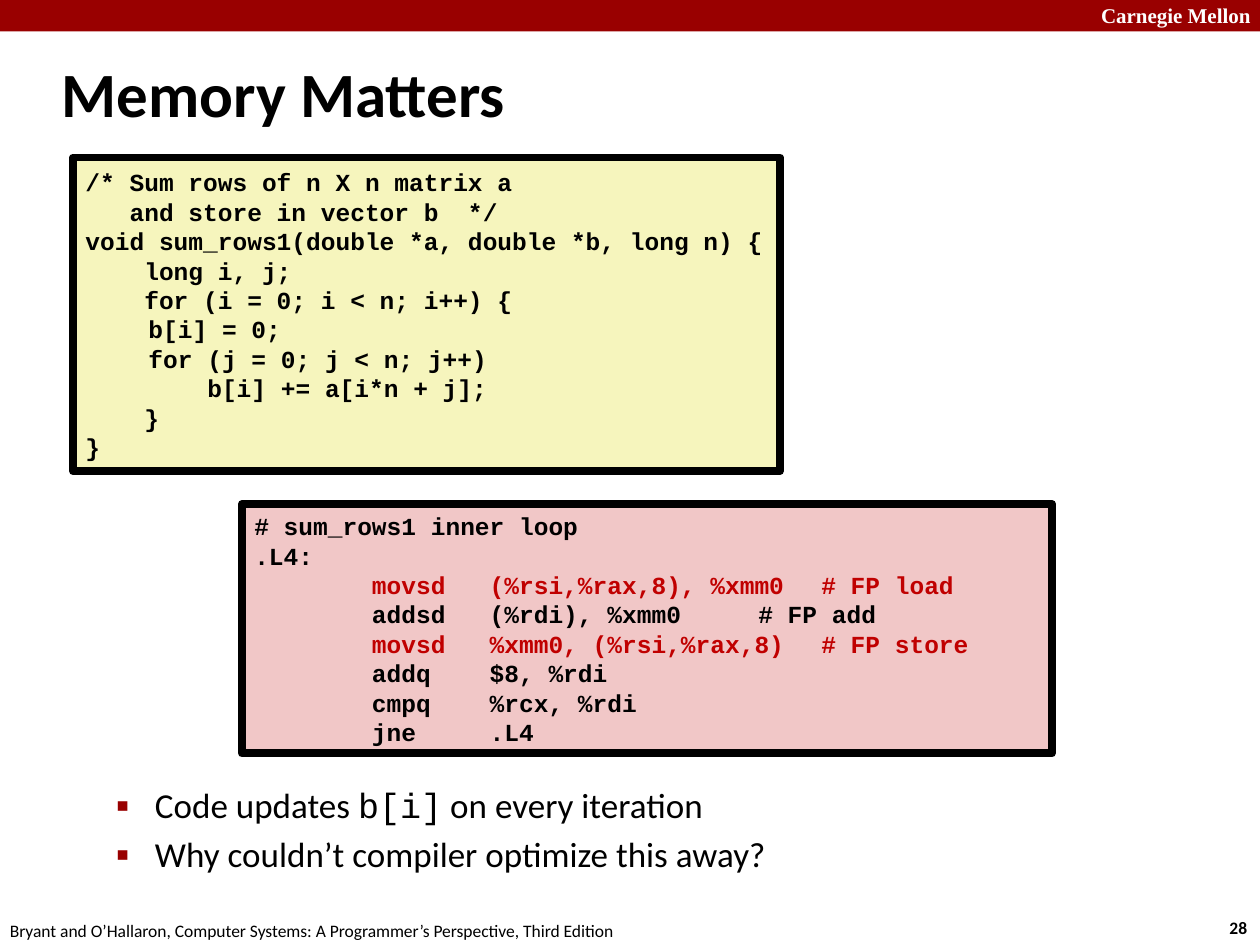
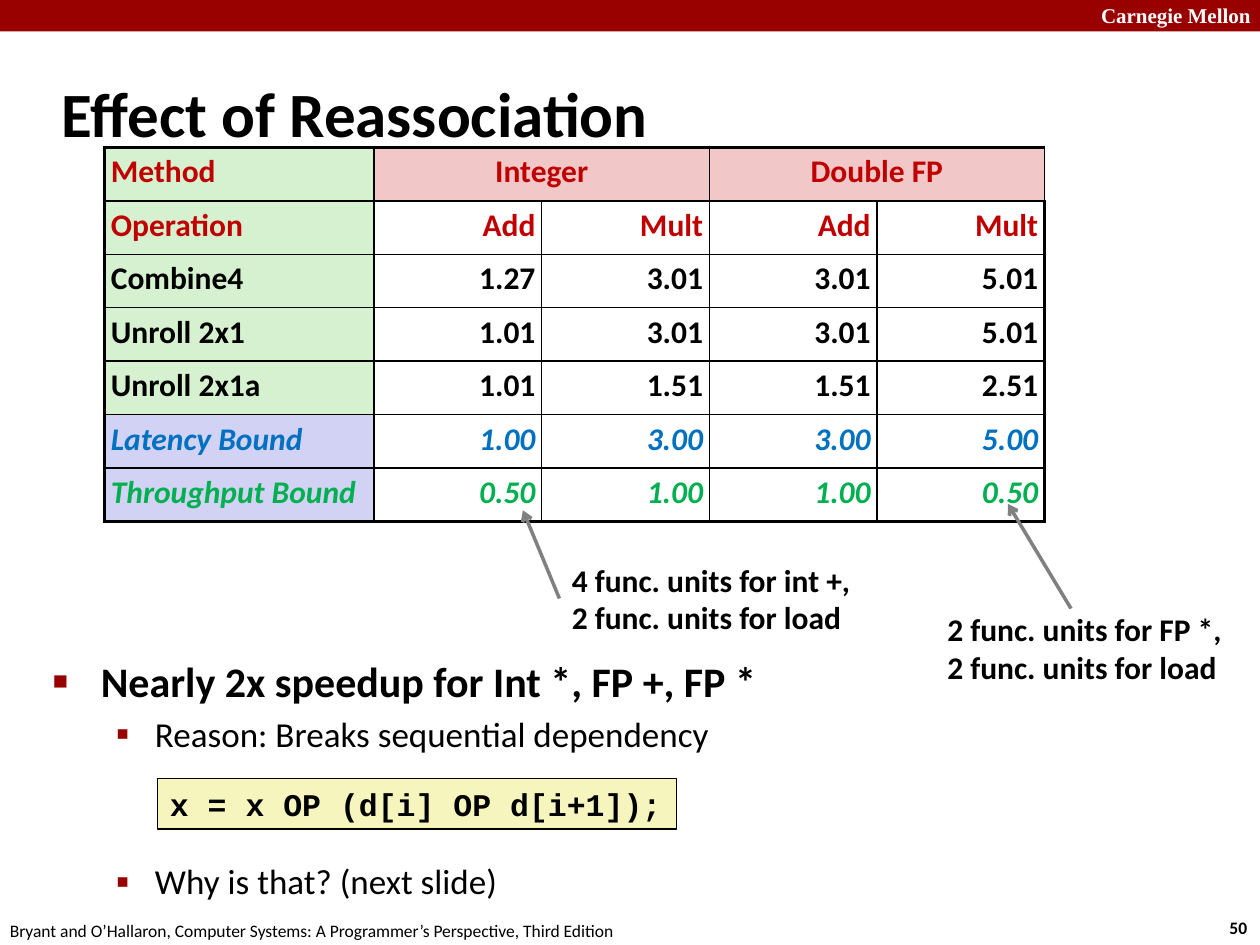
from lxml import etree
from pptx import Presentation
from pptx.dml.color import RGBColor
from pptx.enum.shapes import MSO_CONNECTOR, MSO_SHAPE
from pptx.enum.text import MSO_ANCHOR, MSO_AUTO_SIZE, PP_ALIGN
from pptx.oxml.ns import qn
from pptx.util import Inches, Pt

RECTANGLE = MSO_SHAPE.RECTANGLE
STRAIGHT = MSO_CONNECTOR.STRAIGHT
TOP, MIDDLE = MSO_ANCHOR.TOP, MSO_ANCHOR.MIDDLE
NO_FIT = MSO_AUTO_SIZE.NONE
LEFT, CENTER, RIGHT = PP_ALIGN.LEFT, PP_ALIGN.CENTER, PP_ALIGN.RIGHT

SANS, MONO, SERIF = "Calibri", "Courier New", "Times New Roman"
BLACK, WHITE, GRAY = "000000", "FFFFFF", "808080"
CRIMSON, RED, BLUE, GREEN = "990000", "C00000", "0070C0", "00B050"
CREAM, PINK, MINT, LAVENDER = "F6F5BD", "F1C7C7", "D5F1CF", "D2D2F4"
FOOTER = "Bryant and O’Hallaron, Computer Systems: A Programmer’s Perspective, Third Edition"

rgb = RGBColor.from_string


def add_run(paragraph, text, size, colour=BLACK, font=SANS, bold=True, italic=False):
    run = paragraph.add_run()
    run.text = text
    run.font.size = Pt(size)
    run.font.color.rgb = rgb(colour)
    run.font.name = font
    run.font.bold = bold
    run.font.italic = italic


def add_panel(slide, box, lines, size=18, font=SANS, bold=True, fill=None, border=0):
    area = [Inches(length) for length in box]
    if fill:
        panel = slide.shapes.add_shape(RECTANGLE, *area)
        panel.shadow.inherit = False
        panel.fill.solid()
        panel.fill.fore_color.rgb = rgb(fill)
        if border:
            panel.line.color.rgb = rgb(BLACK)
            panel.line.width = Pt(border)
        else:
            panel.line.fill.background()
    else:
        panel = slide.shapes.add_textbox(*area)
    frame = panel.text_frame
    frame.word_wrap = True
    frame.vertical_anchor = MIDDLE if fill else TOP
    for number, runs in enumerate(lines):
        paragraph = frame.add_paragraph() if number else frame.paragraphs[0]
        paragraph.alignment = LEFT
        for text, colour in runs:
            add_run(paragraph, text, size, colour, font, bold)


deck = Presentation()
deck.slide_width, deck.slide_height = Inches(10), Inches(7.5)

outlines = [
    ("Memory Matters", 0.32, "28", (6.17, 0.88), [
        (1, 0, [("Code updates ", SANS), ("b[i]", MONO), (" on every iteration", SANS)]),
        (1, 4, [("Why couldn’t compiler optimize this away?", SANS)]),
    ]),
    ("Effect of Reassociation", 0.48, "50", (5.15, 1.9), [
        (0, 0, [("Nearly 2x speedup for Int *, FP +, FP *", SANS)]),
        (1, 4, [("Reason: Breaks sequential dependency", SANS)]),
        (1, 60, [("Why is that? (next slide)", SANS)]),
    ]),
]
bullet_levels = [
    (0.38, -0.38, "■", 60, 24, True),
    (0.81, -0.31, "▪", 110, 20, False),
]

for heading, heading_top, page, (points_top, points_height), points in outlines:
    slide = deck.slides.add_slide(deck.slide_layouts[1])
    add_panel(slide, (0, 0, 10, 0.25), [], fill=CRIMSON)
    add_panel(slide, (8.64, -0.03, 1.43, 0.3), [[("Carnegie Mellon", WHITE)]], 12, SERIF)
    add_panel(slide, (9.66, 7.23, 0.37, 0.27), [[(page, BLACK)]], 10)
    add_panel(slide, (-0.02, 7.25, 5.08, 0.27), [[(FOOTER, BLACK)]], 10, bold=False)

    title = slide.shapes.title
    title.left, title.top = Inches(0.39), Inches(heading_top)
    title.width, title.height = Inches(8.3), Inches(0.83)
    title.text_frame.auto_size = NO_FIT
    title.text_frame.vertical_anchor = MIDDLE
    title.text_frame.paragraphs[0].alignment = LEFT
    add_run(title.text_frame.paragraphs[0], heading, 36)

    body = slide.placeholders[1]
    body.left, body.top = Inches(0.32), Inches(points_top)
    body.width, body.height = Inches(9.09), Inches(points_height)
    body.text_frame.auto_size = NO_FIT
    for number, (level, gap, runs) in enumerate(points):
        margin, indent, mark, percent, size, bold = bullet_levels[level]
        paragraph = body.text_frame.add_paragraph() if number else body.text_frame.paragraphs[0]
        properties = paragraph._p.get_or_add_pPr()
        properties.set("marL", str(Inches(margin)))
        properties.set("indent", str(Inches(indent)))
        bullet_colour = etree.SubElement(properties, qn("a:buClr"))
        etree.SubElement(bullet_colour, qn("a:srgbClr"), val=CRIMSON)
        etree.SubElement(properties, qn("a:buSzPct"), val=str(percent * 1000))
        etree.SubElement(properties, qn("a:buChar"), char=mark)
        paragraph.level = level
        paragraph.space_before = Pt(gap)
        for text, font in runs:
            add_run(paragraph, text, size, font=font, bold=bold)

memory, reassociation = deck.slides

assembly = [
    ("# sum_rows1 inner loop", BLACK),
    (".L4:", BLACK),
    ("        movsd   (%rsi,%rax,8), %xmm0\t# FP load", RED),
    ("        addsd   (%rdi), %xmm0\t\t# FP add", BLACK),
    ("        movsd   %xmm0, (%rsi,%rax,8)\t# FP store", RED),
    ("        addq    $8, %rdi", BLACK),
    ("        cmpq    %rcx, %rdi", BLACK),
    ("        jne     .L4", BLACK),
]
add_panel(memory, (1.92, 4, 6.43, 1.98), [[line] for line in assembly], 14, MONO,
          fill=PINK, border=4.5)

sum_rows = [
    "/* Sum rows of n X n matrix a",
    "   and store in vector b  */",
    "void sum_rows1(double *a, double *b, long n) {",
    "    long i, j;",
    "    for (i = 0; i < n; i++) {",
    "\tb[i] = 0;",
    "\tfor (j = 0; j < n; j++)",
    "\t    b[i] += a[i*n + j];",
    "    }",
    "}",
]
add_panel(memory, (0.58, 1.25, 5.61, 2.49), [[(line, BLACK)] for line in sum_rows], 14, MONO,
          fill=CREAM, border=4.5)

add_panel(reassociation, (1.25, 6.18, 4.12, 0.4), [[("x = x OP (d[i] OP d[i+1]);", BLACK)]],
          18, MONO, fill=CREAM, border=1)

timings = [
    (["Method", "Integer", "", "Double FP", ""], RED, MINT, False),
    (["Operation", "Add", "Mult", "Add", "Mult"], RED, MINT, False),
    (["Combine4", "1.27", "3.01", "3.01", "5.01"], BLACK, MINT, False),
    (["Unroll 2x1", "1.01", "3.01", "3.01", "5.01"], BLACK, MINT, False),
    (["Unroll 2x1a", "1.01", "1.51", "1.51", "2.51"], BLACK, MINT, False),
    (["Latency Bound", "1.00", "3.00", "3.00", "5.00"], BLUE, LAVENDER, True),
    (["Throughput Bound", "0.50", "1.00", "1.00", "0.50"], GREEN, LAVENDER, True),
]
last_row, last_column = len(timings) - 1, 4
table = reassociation.shapes.add_table(
    last_row + 1, last_column + 1, Inches(0.83), Inches(1.17), Inches(7.46), Inches(2.97)).table
table.first_row = table.horz_banding = False
for number, column in enumerate(table.columns):
    column.width = Inches(1.33 if number else 2.14)
for start in (1, 3):
    table.cell(0, start).merge(table.cell(0, start + 1))

for row, (values, colour, label_fill, italic) in enumerate(timings):
    for column, value in enumerate(values):
        cell = table.cell(row, column)
        cell.margin_left = cell.margin_right = Inches(0.05)
        cell.margin_top = cell.margin_bottom = Inches(0.05)
        borders = cell._tc.get_or_add_tcPr()
        outer_edges = {"a:lnL": column == 0, "a:lnR": column == last_column,
                       "a:lnT": row == 0, "a:lnB": row == last_row}
        for edge, outer in outer_edges.items():
            line = etree.SubElement(borders, qn(edge), w=str(Pt(2.25 if outer else 1)))
            ink = etree.SubElement(line, qn("a:solidFill"))
            etree.SubElement(ink, qn("a:srgbClr"), val=BLACK)
        cell.fill.solid()
        cell.fill.fore_color.rgb = rgb(label_fill if column == 0 else WHITE if row else PINK)
        if value:
            paragraph = cell.text_frame.paragraphs[0]
            paragraph.alignment = LEFT if column == 0 else RIGHT if row else CENTER
            paragraph.line_spacing = 0.95
            add_run(paragraph, value, 18, colour, italic=italic)

unit_notes = [
    ((8.5, 4.83, 8, 4), (7.42, 4.79, 2.4, 0.71), "2 func. units for FP *,"),
    ((4.44, 4.75, 4.15, 4.05), (4.44, 4.4, 2.43, 0.71), "4 func. units for int +,"),
]
for ends, box, units in unit_notes:
    arrow = reassociation.shapes.add_connector(STRAIGHT, *[Inches(end) for end in ends])
    arrow.line.color.rgb = rgb(GRAY)
    arrow.line.width = Pt(2)
    etree.SubElement(arrow.line._get_or_add_ln(), qn("a:tailEnd"), type="arrow")
    etree.SubElement(arrow._element.spPr, qn("a:effectLst"))
    add_panel(reassociation, box, [[(units, BLACK)], [("2 func. units for load", BLACK)]])

deck.save("out.pptx")
